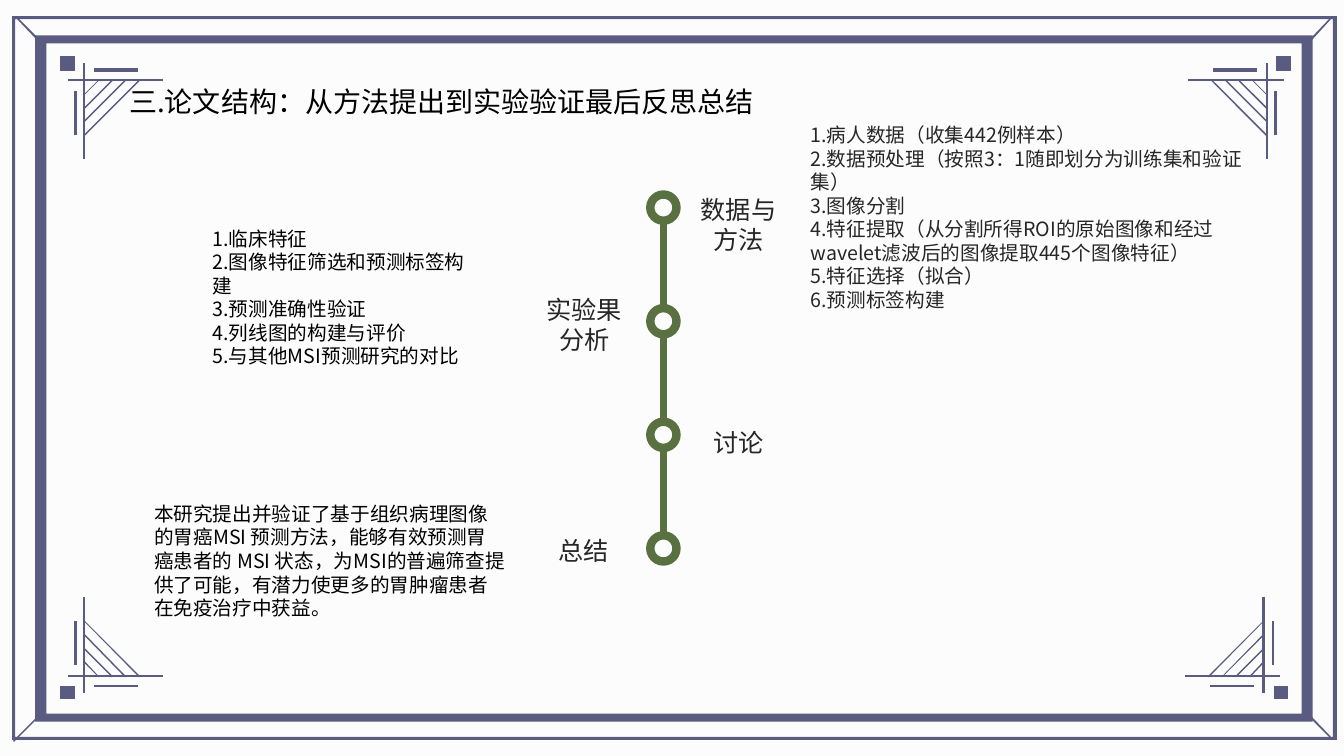
from lxml.etree import SubElement
from pptx import Presentation
from pptx.dml.color import RGBColor
from pptx.enum.shapes import MSO_CONNECTOR, MSO_SHAPE
from pptx.enum.text import MSO_ANCHOR, MSO_AUTO_SIZE, PP_ALIGN
from pptx.oxml.ns import qn
from pptx.util import Inches, Pt

COLORS = {"page": "FCFCFC", "frame": "595B81", "timeline": "597041",
          "label": "262626", "text": "000000"}
FONT = "Noto Sans CJK SC"

# Every place is given in cells of a grid of 1333 columns by 750 rows.
COLUMNS, ROWS = 1333, 750
CELL = Inches(0.01)

TITLE = "三.论文结构：从方法提出到实验验证最后反思总结"
TITLE_BOX = (105, 79, 667, 60)

LABEL = {"size": 18, "color": "label", "align": PP_ALIGN.CENTER}
NOTE = {"size": 14, "color": "text", "align": PP_ALIGN.LEFT}
METHOD_NOTE = {**NOTE, "color": "label"}

TEXTS = [
    ((681, 188, 103, 71), LABEL, ["数据与方法"]),
    ((524, 287, 111, 84), LABEL, ["实验果分析"]),
    ((682, 419, 101, 89), LABEL, ["讨论"]),
    ((523, 526, 112, 40), LABEL, ["总结"]),
    ((794, 117, 479, 253), METHOD_NOTE, [
        "1.病人数据（收集442例样本）",
        "2.数据预处理（按照3：1随即划分为训练集和验证集）",
        "3.图像分割",
        "4.特征提取（从分割所得ROI的原始图像和经过wavelet滤波后的图像提取445个图像特征）",
        "5.特征选择（拟合）",
        "6.预测标签构建",
    ]),
    ((201, 220, 274, 243), NOTE, [
        "1.临床特征",
        "2.图像特征筛选和预测标签构建",
        "3.预测准确性验证",
        "4.列线图的构建与评价",
        "5.与其他MSI预测研究的对比",
    ]),
    ((143, 493, 369, 233), NOTE, [
        "本研究提出并验证了基于组织病理图像的胃癌MSI 预测方法，能够有效预测胃癌患者的 MSI 状态，"
        "为MSI的普遍筛查提供了可能，有潜力使更多的胃肿瘤患者在免疫治疗中获益。",
    ]),
]

# Top left corner ornament: bars as left, top, right, bottom.
CORNER_BARS = [(67, 78, 162, 80.5), (82, 63, 84.5, 158), (60, 56, 73.5, 69.5),
               (73, 90, 75.5, 134), (93, 68.5, 137, 71)]
HATCH_ORIGIN = (83, 79)
HATCH_REACHES = [55, 41.5, 28, 14.5]
# Sum of a coordinate and its mirrored one, or None where it is not mirrored.
CORNER_MIRRORS = [(None, 750.5), (None, None), (1340, None), (1337, 750.5)]

FRAME_BANDS = [((12, 16, 1325.5, 734), 3), ((35, 35, 1302, 715.5), (11, 8))]
FRAME_MITRES = [
    [(13, 735), (40, 708), (41, 709), (14, 736)],
    [(16, 18), (17, 17), (38, 38), (37, 40)],
    [(1299, 39), (1320, 17), (1321, 18), (1300, 41)],
    [(1299, 712), (1300, 710), (1321, 732), (1320, 733)],
]

STOP_COUNT, STOP_SIZE = 4, 26
STOP_LEFT, FIRST_STOP_TOP, STOP_STEP = 645, 193, 112.7


def color(name):
    return RGBColor.from_string(COLORS[name])


def place(shape, box):
    for name, cells in zip(("left", "top", "width", "height"), box):
        setattr(shape, name, round(cells * CELL))


def rectangle(left, top, right, bottom):
    return [(left, top), (right, top), (right, bottom), (left, bottom)]


def add_outline(shapes, *contours):
    """Fill one shape made of closed contours; a second contour is a hole."""
    builder = shapes.build_freeform(*contours[0][0], scale=CELL)
    for index, points in enumerate(contours):
        if index:
            builder.move_to(*points[0])
        builder.add_line_segments(points[1:], close=True)
    outline = builder.convert_to_shape()
    outline.fill.solid()
    outline.fill.fore_color.rgb = color("frame")
    outline.line.fill.background()
    outline.shadow.inherit = False


def add_corner(page, mirror_x, mirror_y):
    origin_x, origin_y = HATCH_ORIGIN
    pieces = [rectangle(*bar) for bar in CORNER_BARS]
    for reach in HATCH_REACHES:
        strip = [(0, reach), (reach, 0), (reach + 0.8, 0.8), (0.8, reach + 0.8)]
        pieces.append([(origin_x + x, origin_y + y) for x, y in strip])
    corner = page.shapes.add_group_shape()
    for piece in pieces:
        add_outline(corner.shapes, [
            (mirror_x - x if mirror_x else x, mirror_y - y if mirror_y else y)
            for x, y in piece])


def add_frame(page):
    frame = page.shapes.add_group_shape()
    for (left, top, right, bottom), thickness in FRAME_BANDS:
        across, down = thickness if isinstance(thickness, tuple) else (thickness,) * 2
        hole = rectangle(left + across, top + down, right - across, bottom - down)
        add_outline(frame.shapes, rectangle(left, top, right, bottom), hole[::-1])
    for mitre in FRAME_MITRES:
        add_outline(frame.shapes, mitre)


def add_timeline(page):
    timeline = page.shapes.add_group_shape()
    middle = round((STOP_LEFT + STOP_SIZE / 2) * CELL)
    for index in range(STOP_COUNT):
        top = FIRST_STOP_TOP + index * STOP_STEP
        stop = timeline.shapes.add_shape(MSO_SHAPE.OVAL, 0, 0, CELL, CELL)
        place(stop, (STOP_LEFT, top, STOP_SIZE, STOP_SIZE))
        stop.fill.background()
        stop.shadow.inherit = False
        stop.line.color.rgb = color("timeline")
        stop.line.width = Pt(6)
        if index < STOP_COUNT - 1:
            link = timeline.shapes.add_connector(
                MSO_CONNECTOR.STRAIGHT, middle, round((top + STOP_SIZE) * CELL),
                middle, round((top + STOP_STEP) * CELL))
            link.line.color.rgb = color("timeline")
            link.line.width = Pt(5)
            SubElement(link._element.spPr, qn("a:effectLst"))


def write_paragraph(para, text, style):
    para.alignment = style["align"]
    span = para.add_run()
    span.text = text
    for name, value in {"name": FONT, "size": Pt(style["size"])}.items():
        setattr(span.font, name, value)
    span.font.color.rgb = color(style["color"])
    east_asian = SubElement(span._r.get_or_add_rPr(), qn("a:ea"))
    east_asian.set("typeface", FONT)


def set_frame(frame):
    settings = {"word_wrap": True, "auto_size": MSO_AUTO_SIZE.NONE,
                "vertical_anchor": MSO_ANCHOR.TOP}
    for name, value in settings.items():
        setattr(frame, name, value)


def add_text(page, box, style, lines):
    text_box = page.shapes.add_textbox(0, 0, CELL, CELL)
    place(text_box, box)
    frame = text_box.text_frame
    set_frame(frame)
    for index, line in enumerate(lines):
        para = frame.add_paragraph() if index else frame.paragraphs[0]
        para.line_spacing = Pt(style["size"] * 1.2)
        write_paragraph(para, line, style)


def main():
    deck = Presentation()
    deck.slide_width, deck.slide_height = COLUMNS * CELL, ROWS * CELL
    page = deck.slides.add_slide(deck.slide_layouts[5])
    page.background.fill.solid()
    page.background.fill.fore_color.rgb = color("page")

    for mirrors in CORNER_MIRRORS:
        add_corner(page, *mirrors)
    add_frame(page)
    add_timeline(page)

    title = page.shapes.title
    place(title, TITLE_BOX)
    set_frame(title.text_frame)
    title.text_frame.margin_left = Inches(0.23)
    write_paragraph(title.text_frame.paragraphs[0], TITLE, {**NOTE, "size": 20})

    for box, style, lines in TEXTS:
        add_text(page, box, style, lines)
    deck.save("out.pptx")


if __name__ == "__main__":
    main()
